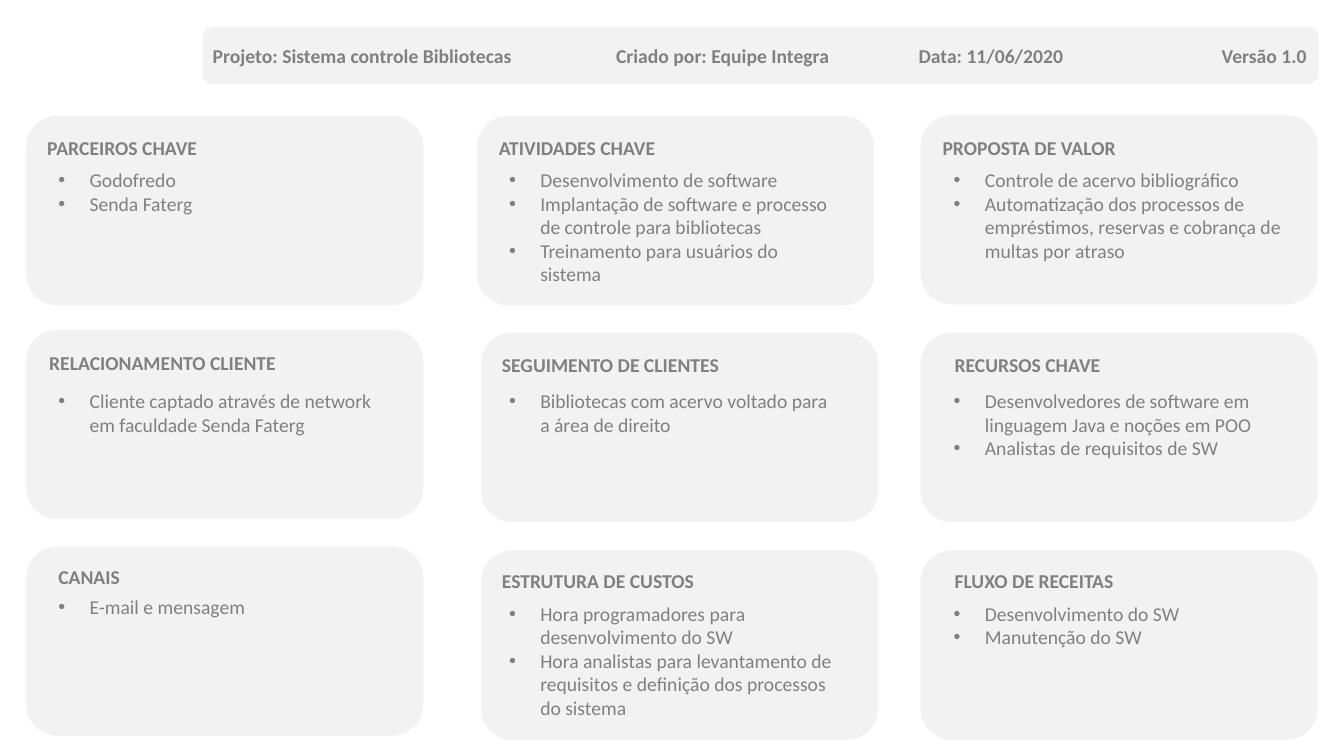
from lxml.etree import SubElement
from pptx import Presentation
from pptx.dml.color import RGBColor
from pptx.enum.shapes import MSO_SHAPE
from pptx.enum.text import MSO_ANCHOR, MSO_AUTO_SIZE, PP_ALIGN
from pptx.oxml.ns import qn
from pptx.util import Inches, Pt

# Content
HEADER = ["Projeto: Sistema controle Bibliotecas", "Criado por: Equipe Integra",
          "Data: 11/06/2020", "Versão 1.0"]
HEADER_TABS = [(4, "l"), (7, "l"), (10.85, "r")]

# Heading, items, card corner, heading corner, top of the list; row by row
CARDS = [
    ("PARCEIROS CHAVE", ["Godofredo", "Senda Faterg"],
     (0.25, 1.14), (0.37, 1.34), 1.62),
    ("ATIVIDADES CHAVE",
     ["Desenvolvimento de software",
      "Implantação de software e processo de controle para bibliotecas",
      "Treinamento para usuários do sistema"],
     (4.72, 1.14), (4.85, 1.34), 1.62),
    ("PROPOSTA DE VALOR",
     ["Controle de acervo bibliográfico",
      "Automatização dos processos de empréstimos, reservas e cobrança de multas por atraso"],
     (9.12, 1.13), (9.25, 1.34), 1.62),
    ("RELACIONAMENTO CLIENTE",
     ["Cliente captado através de network em faculdade Senda Faterg"],
     (0.25, 3.26), (0.39, 3.48), 3.81),
    ("SEGUIMENTO DE CLIENTES",
     ["Bibliotecas com acervo voltado para a área de direito"],
     (4.76, 3.29), (4.88, 3.5), 3.81),
    ("RECURSOS CHAVE",
     ["Desenvolvedores de software em linguagem Java e noções em POO",
      "Analistas de requisitos de SW"],
     (9.12, 3.29), (9.37, 3.5), 3.81),
    ("CANAIS", ["E-mail e mensagem"],
     (0.25, 5.41), (0.48, 5.6), 5.85),
    ("ESTRUTURA DE CUSTOS",
     ["Hora programadores para desenvolvimento do SW",
      "Hora analistas para levantamento de requisitos e definição dos processos do sistema"],
     (4.76, 5.45), (4.88, 5.64), 5.92),
    ("FLUXO DE RECEITAS", ["Desenvolvimento do SW", "Manutenção do SW"],
     (9.12, 5.45), (9.37, 5.64), 5.92),
]

# Format
GRAY = RGBColor(0x80, 0x80, 0x80)
PALE = RGBColor(0xF2, 0xF2, 0xF2)
WHITE = RGBColor(0xFF, 0xFF, 0xFF)
BAR = (2.01, 0.27, 11.07, 0.56)
CARD_SIZE = (3.96, 1.9)
HEADING_SIZE = (3.94, 0.39)
LIST_LEFTS = [0.48, 4.95, 9.36]
LIST_WIDTH, LINE_HEIGHT = 3.48, 0.24
INDENT = Inches(0.31)
FONT = {"name": "Calibri", "size": Pt(14)}


def write(para, text, bold=False):
    span = para.add_run()
    span.text = text
    for name, value in {**FONT, "bold": bold}.items():
        setattr(span.font, name, value)
    span.font.color.rgb = GRAY


def add_panel(page, place):
    panel = page.shapes.add_shape(MSO_SHAPE.ROUNDED_RECTANGLE, *map(Inches, place))
    panel.shadow.inherit = False
    panel.fill.solid()
    panel.fill.fore_color.rgb = PALE
    panel.line.fill.background()
    return panel


def add_text(page, place):
    box = page.shapes.add_textbox(*map(Inches, place))
    box.text_frame.word_wrap = True
    return box.text_frame


def add_bullet(para):
    props = para._p.get_or_add_pPr()
    props.set("marL", str(INDENT))
    props.set("indent", str(-INDENT))
    SubElement(props, qn("a:buFont"), typeface="Arial")
    SubElement(props, qn("a:buChar"), char="•")


deck = Presentation()
deck.slide_width, deck.slide_height = Inches(13.33), Inches(7.5)
page = deck.slides.add_slide(deck.slide_layouts[5])

# Header bar with the title spread over tab stops
add_panel(page, BAR)
title = page.shapes.title
title.left, title.top, title.width, title.height = map(Inches, BAR)
page.shapes._spTree.append(title._element)
frame = title.text_frame
for name, value in {"auto_size": MSO_AUTO_SIZE.NONE, "word_wrap": True,
                    "vertical_anchor": MSO_ANCHOR.MIDDLE}.items():
    setattr(frame, name, value)
para = frame.paragraphs[0]
para.alignment = PP_ALIGN.LEFT
write(para, "\t".join(HEADER), bold=True)
stops = SubElement(para._p.get_or_add_pPr(), qn("a:tabLst"))
for position, align in HEADER_TABS:
    SubElement(stops, qn("a:tab"), pos=str(Inches(position)), algn=align)

# Cards, each with its heading and list
for index, (heading, items, corner, heading_corner, list_top) in enumerate(CARDS):
    card = add_panel(page, corner + CARD_SIZE)
    card.line.color.rgb = WHITE
    card.line.width = Pt(1.5)

    para = add_text(page, heading_corner + HEADING_SIZE).paragraphs[0]
    para.line_spacing = 0.8
    write(para, heading, bold=True)

    list_height = 0.1 + LINE_HEIGHT * sum(1 + len(item) // 35 for item in items)
    frame = add_text(page, (LIST_LEFTS[index % 3], list_top, LIST_WIDTH, list_height))
    for number, item in enumerate(items):
        para = frame.add_paragraph() if number else frame.paragraphs[0]
        add_bullet(para)
        write(para, item)

deck.save("out.pptx")
